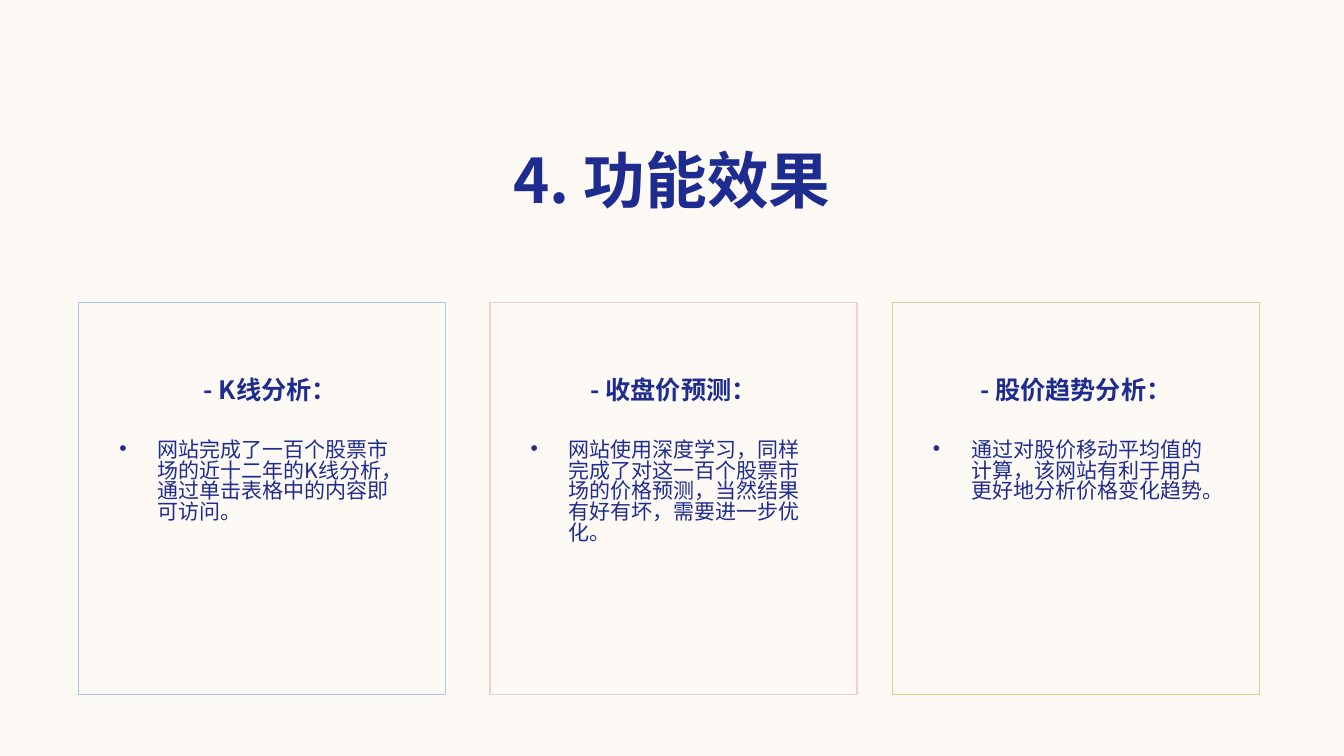
from lxml import etree
from pptx import Presentation
from pptx import util as u
from pptx.dml.color import RGBColor
from pptx.enum import shapes, text
from pptx.oxml.ns import qn

FONT = "Noto Sans CJK SC"
NAVY = RGBColor(0x1F, 0x2C, 0x8F)
CREAM = RGBColor(0xFD, 0xFA, 0xF6)
BLUE = RGBColor(0xAA, 0xC3, 0xE8)
PINK = RGBColor(0xF5, 0xCD, 0xCE)
GREEN = RGBColor(0xD2, 0xD5, 0x92)

TITLE = "4. 功能效果"
# left edge, outline, heading, heading indent in points, body
CARDS = [
    (0.78, BLUE, "- K线分析：", 12,
     "网站完成了一百个股票市场的近十二年的K线分析，通过单击表格中的内容即可访问。"),
    (4.86, PINK, "- 收盘价预测：", 0,
     "网站使用深度学习，同样完成了对这一百个股票市场的价格预测，当然结果有好有坏，需要进一步优化。"),
    (8.85, GREEN, "- 股价趋势分析：", 0,
     "通过对股价移动平均值的计算，该网站有利于用户更好地分析价格变化趋势。"),
]
CARD_TOP, CARD_WIDTH, CARD_HEIGHT = 3, 3.64, 3.89
BODY_TOP, BODY_WIDTH, BODY_HEIGHT = 4.32, 3.03, 2.41
BODY_INSET = (CARD_WIDTH - BODY_WIDTH) / 2
HANGING = u.Inches(0.38)


def write(para, words, size, bold=False):
    span = para.add_run()
    span.text = words
    span.font.size = u.Pt(size)
    span.font.bold = bold
    span.font.name = FONT
    span.font.color.rgb = NAVY
    etree.SubElement(span._r.get_or_add_rPr(), qn("a:ea"), typeface=FONT)


def indent(para, left, first=0):
    props = para._p.get_or_add_pPr()
    props.set("marL", str(left))
    props.set("indent", str(first))
    return props


def add_card(page, left, outline, heading, shift, body):
    card = page.shapes.add_shape(
        shapes.MSO_SHAPE.RECTANGLE, u.Inches(left), u.Inches(CARD_TOP),
        u.Inches(CARD_WIDTH), u.Inches(CARD_HEIGHT))
    card.shadow.inherit = False
    card.fill.background()
    card.line.color.rgb = outline
    card.line.width = u.Pt(1)
    frame = card.text_frame
    frame.word_wrap = True
    frame.vertical_anchor = text.MSO_ANCHOR.TOP
    frame.margin_top = u.Inches(0.75)
    para = frame.paragraphs[0]
    para.alignment = text.PP_ALIGN.CENTER
    para.line_spacing = 0.9
    indent(para, u.Pt(shift))
    write(para, heading, 18, bold=True)

    box = page.shapes.add_textbox(
        u.Inches(left + BODY_INSET), u.Inches(BODY_TOP),
        u.Inches(BODY_WIDTH), u.Inches(BODY_HEIGHT))
    box.text_frame.word_wrap = True
    para = box.text_frame.paragraphs[0]
    para.line_spacing = 0.83
    para.space_before = u.Pt(3.6)
    props = indent(para, HANGING, -HANGING)
    etree.SubElement(props, qn("a:buFont"), typeface="Arial")
    etree.SubElement(props, qn("a:buChar"), char="•")
    write(para, body, 15)


def main():
    deck = Presentation()
    deck.slide_width, deck.slide_height = u.Inches(13.33), u.Inches(7.5)
    page = deck.slides.add_slide(deck.slide_layouts[5])
    page.background.fill.solid()
    page.background.fill.fore_color.rgb = CREAM

    title = page.shapes.title
    title.left, title.top = u.Inches(0.83), u.Inches(1.35)
    title.width, title.height = u.Inches(11.67), u.Inches(0.84)
    title.text_frame.vertical_anchor = text.MSO_ANCHOR.MIDDLE
    para = title.text_frame.paragraphs[0]
    para.alignment = text.PP_ALIGN.CENTER
    write(para, TITLE, 44, bold=True)

    for card in CARDS:
        add_card(page, *card)
    deck.save("out.pptx")


if __name__ == "__main__":
    main()
